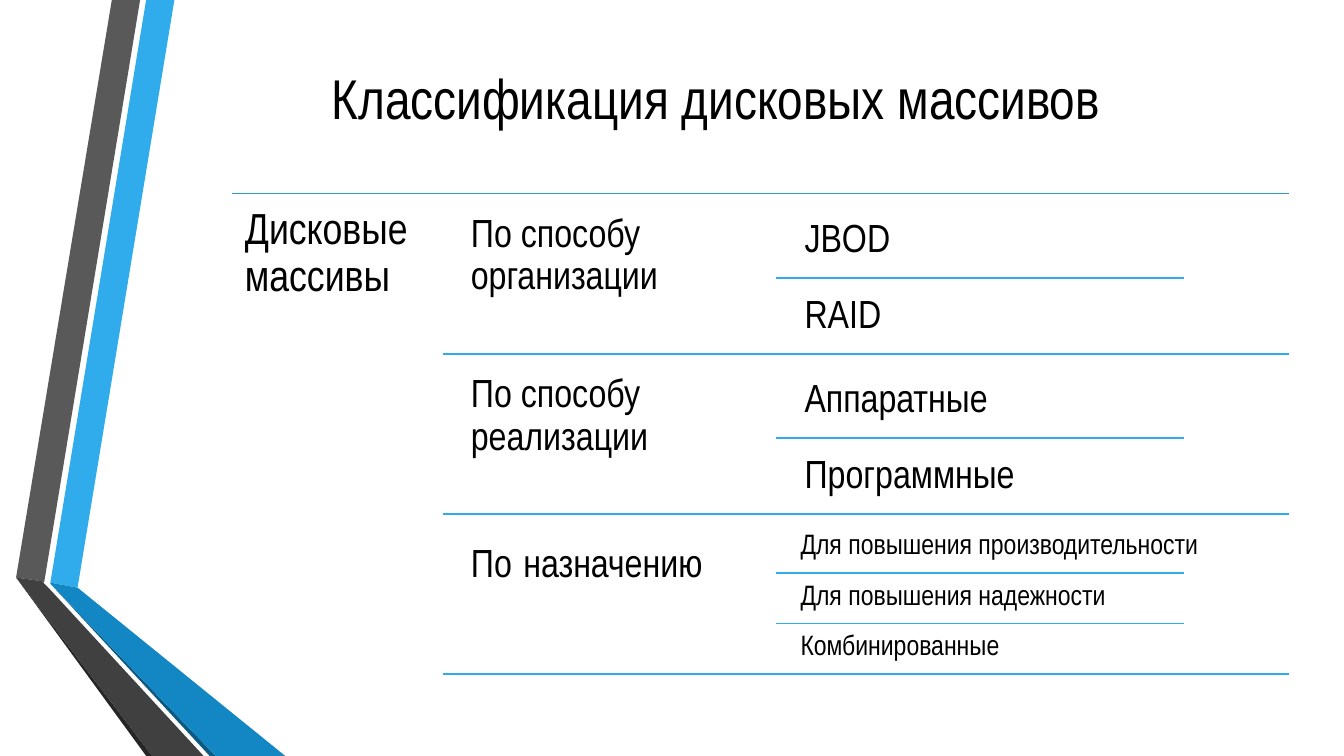
from lxml import etree
from pptx import Presentation
from pptx.dml.color import RGBColor
from pptx.enum.shapes import MSO_CONNECTOR
from pptx.enum.text import MSO_ANCHOR, MSO_AUTO_SIZE, PP_ALIGN
from pptx.oxml.ns import qn
from pptx.util import Pt

TOP, MIDDLE = MSO_ANCHOR.TOP, MSO_ANCHOR.MIDDLE
STRAIGHT = MSO_CONNECTOR.STRAIGHT

TITLE = "Классификация дисковых массивов"
ROOT = "Дисковые массивы"
# Each group: label as (text, size) spans, leaves, leaf size, leaf width, leaf inset, leaf anchor
GROUPS = [
    ([("По способу организации", 28)], ["JBOD", "RAID"], 28, 404, 12, MIDDLE),
    ([("По способу реализации", 28)], ["Аппаратные", "Программные"], 28, 404, 12, MIDDLE),
    ([("По", 28), (" ", 36), ("назначению", 28)],
     ["Для повышения производительности", "Для повышения надежности", "Комбинированные"],
     20, 492, 8, TOP),
]
RIBBONS = [
    ("30ACEC", [(50, 578), (77, 583), (173, 0), (145, 0)]),
    ("595959", [(139, 0), (111, 0), (16, 573), (44, 577)]),
    ("262626", [(16, 573), (145, 750), (151, 750)]),
    ("0C5A82", [(50, 579), (208, 750), (214, 750)]),
    ("1287C3", [(50, 579), (214, 750), (283, 750), (77, 583), (50, 578)]),
    ("404040", [(202, 750), (48, 583), (43, 578), (44, 577), (16, 573), (151, 750)]),
]
FONT, BLACK, BLUE, DARK_BLUE = "Arial Narrow", "000000", "30ACEC", "2C9CD6"

SCALE = 9144  # 100 px to the inch
TREE_LEFT, TREE_RIGHT, TREE_TOP = 230, 1278, 192
GROUP_LINE_LEFT, LABEL_LEFT, LABEL_WIDTH = 439, 455, 315
LEAF_LINE_LEFT, LEAF_LINE_RIGHT, LEAF_LEFT = 770, 1174, 786
GROUP_STEP, GROUP_GAP, GROUP_HEIGHT = 159, 8, 151


def px(length):
    return round(length * SCALE)


def color(value):
    return RGBColor.from_string(value)


def style_span(span, size):
    span.font.name = FONT
    span.font.size = Pt(size)
    span.font.color.rgb = color(BLACK)


def add_ribbon(page, fill, points):
    builder = page.shapes.build_freeform(*points[0], scale=SCALE)
    builder.add_line_segments(points[1:], close=True)
    ribbon = builder.convert_to_shape()
    ribbon.shadow.inherit = False
    ribbon.fill.solid()
    ribbon.fill.fore_color.rgb = color(fill)
    ribbon.line.fill.background()


def add_rule(page, left, right, top, line_color=BLUE):
    rule = page.shapes.add_connector(STRAIGHT, px(left), px(top), px(right), px(top))
    rule.line.color.rgb = color(line_color)
    rule.line.width = Pt(1.25)
    etree.SubElement(rule._element.spPr, qn("a:effectLst"))


def add_text(page, spans, left, top, width, height, inset, anchor=TOP):
    box = page.shapes.add_textbox(px(left), px(top), px(width), px(height))
    frame = box.text_frame
    frame.word_wrap = True
    frame.vertical_anchor = anchor
    frame.margin_left = frame.margin_right = px(inset)
    frame.margin_top = frame.margin_bottom = px(inset)
    para = frame.paragraphs[0]
    para.line_spacing = 0.9
    for text, size in spans:
        span = para.add_run()
        span.text = text
        style_span(span, size)


def add_title(page):
    title = page.shapes.title
    title.left, title.top, title.width, title.height = px(162), px(0), px(1096), px(192)
    frame = title.text_frame
    frame.text = TITLE
    frame.word_wrap = True
    frame.auto_size = MSO_AUTO_SIZE.NONE
    frame.vertical_anchor = MIDDLE
    frame.paragraphs[0].alignment = PP_ALIGN.CENTER
    style_span(frame.paragraphs[0].runs[0], 40)


def add_group(page, top, label, leaves, size, width, inset, anchor):
    text_top = top + GROUP_GAP
    add_text(page, label, LABEL_LEFT, text_top, LABEL_WIDTH, GROUP_HEIGHT, 12)
    leaf_height = GROUP_HEIGHT / len(leaves)
    for index, leaf in enumerate(leaves):
        leaf_top = text_top + index * leaf_height
        if index:
            add_rule(page, LEAF_LINE_LEFT, LEAF_LINE_RIGHT, leaf_top)
        add_text(page, [(leaf, size)], LEAF_LEFT, leaf_top, width, leaf_height, inset, anchor)
    add_rule(page, GROUP_LINE_LEFT, TREE_RIGHT, top + GROUP_STEP)


def main():
    deck = Presentation()
    deck.slide_width, deck.slide_height = px(1333), px(750)
    page = deck.slides.add_slide(deck.slide_layouts[5])
    for fill, points in RIBBONS:
        add_ribbon(page, fill, points)
    add_title(page)
    add_rule(page, TREE_LEFT, TREE_RIGHT, TREE_TOP, DARK_BLUE)
    add_text(page, [(ROOT, 31)], TREE_LEFT, TREE_TOP, 210, 484, 13)
    for index, group in enumerate(GROUPS):
        add_group(page, TREE_TOP + index * GROUP_STEP, *group)
    deck.save("out.pptx")


if __name__ == "__main__":
    main()
